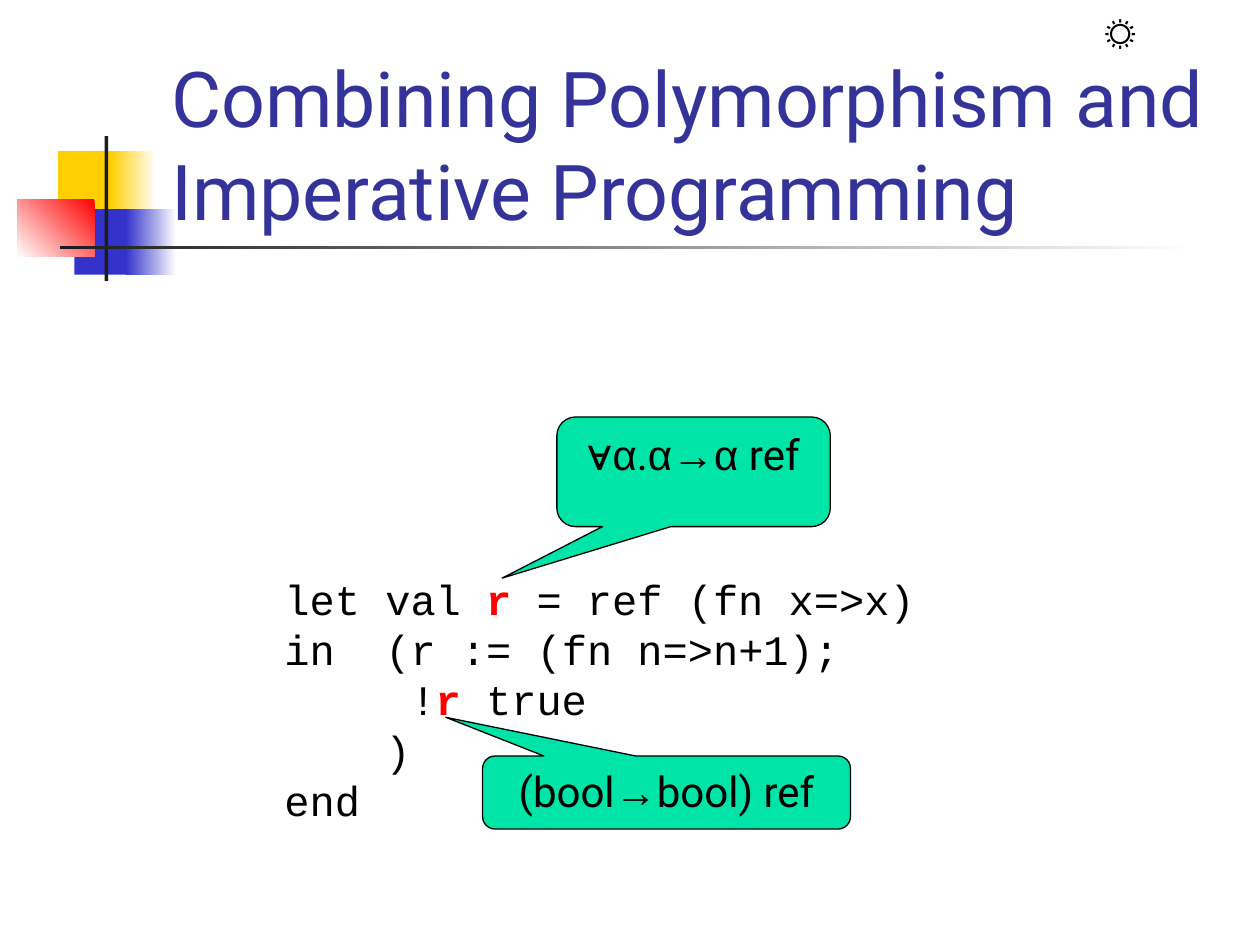
import pptx
import pptx.util
import pptx.dml.color
import pptx.enum.shapes
import pptx.enum.text

SHAPE = pptx.enum.shapes.MSO_SHAPE
ALIGN = pptx.enum.text.PP_ALIGN
ANCHOR = pptx.enum.text.MSO_ANCHOR
SIZING = pptx.enum.text.MSO_AUTO_SIZE
COLS, ROWS = 10, 7.5

deck = pptx.Presentation()
deck.slide_width = pptx.util.Inches(10)
deck.slide_height = pptx.util.Inches(7.5)
slide = deck.slides.add_slide(deck.slide_layouts[6])


def color(code):
    return pptx.dml.color.RGBColor.from_string(code)


def place(box, part=(0, 0, None, None)):
    """Turn a part of a box, in columns and rows, into slide lengths."""
    left, top, wide, high = part
    wide = box[2] if wide is None else wide
    high = box[3] if high is None else high
    col, row = deck.slide_width / COLS, deck.slide_height / ROWS
    return [round(n) for n in ((box[0] + left) * col, (box[1] + top) * row,
                               wide * col, high * row)]


def write(shape, lines, style, **frame):
    """Fill a shape with lines of (text, format changes) runs."""
    text = shape.text_frame
    for name, value in frame.items():
        setattr(text, name, value)
    for i, line in enumerate(lines):
        para = text.paragraphs[0] if i == 0 else text.add_paragraph()
        para.alignment = style.get("align", ALIGN.LEFT)
        for words, change in line:
            run = para.add_run()
            run.text = words
            look = {**style, **change}
            run.font.color.rgb = color(look["color"])
            values = {"size": pptx.util.Pt(look["size"]),
                      "name": look["name"], "bold": look.get("bold", False)}
            for name, value in values.items():
                setattr(run.font, name, value)


def block(box, part, first, last=None, angle=180):
    """Draw a plain bar, or one that fades from first to last."""
    bar = slide.shapes.add_shape(SHAPE.RECTANGLE, *place(box, part))
    bar.shadow.inherit = False
    bar.line.fill.background()
    if last is None:
        bar.fill.solid()
        bar.fill.fore_color.rgb = color(first)
        return
    bar.fill.gradient()
    bar.fill.gradient_angle = angle
    for stop, code in zip(bar.fill.gradient_stops, (first, last)):
        stop.color.rgb = color(code)


def motif(box):
    """Coloured squares crossed by a post and a fading rule."""
    white, gold, blue, dark = "FFFFFF", "FFCF01", "3333CC", "1C1C1C"
    block(box, (0.32, 0.12, 0.48, 0.52), gold)
    block(box, (0.74, 0.12, 0.36, 0.52), white, gold)
    block(box, (0.45, 0.58, 0.46, 0.52), blue)
    block(box, (0.86, 0.58, 0.4, 0.52), white, blue)
    block(box, (0, 0.5, 0.61, 0.46), "FF0000", white, 225)
    block(box, (0.69, 0, 0.03, 1.15), dark)
    block(box, (0.34, 0.87, 9, 0.03), white, dark)


def label(box, lines, style, **frame):
    area = slide.shapes.add_textbox(*place(box))
    write(area, lines, style, **{"word_wrap": True, **frame})


def bubble(box, tip, runs):
    """Callout whose tip is given as shares of its size from its centre."""
    shape = slide.shapes.add_shape(SHAPE.ROUNDED_RECTANGULAR_CALLOUT, *place(box))
    shape.shadow.inherit = False
    for i, value in enumerate((*tip, 0.17)):
        shape.adjustments[i] = value
    shape.fill.solid()
    shape.fill.fore_color.rgb = color("00E4A8")
    shape.line.color.rgb = color("000000")
    shape.line.width = pptx.util.Pt(0.75)
    style = {"size": 24, "name": "Roboto", "color": "000000", "align": ALIGN.CENTER}
    write(shape, [runs], style, vertical_anchor=ANCHOR.TOP, word_wrap=True)


# Frame and title
motif((0.14, 1.08, 9.34, 1.15))
label((8.67, 0, 1.33, 0.5), [[("☼", {})]],
      {"size": 24, "name": "Calibri", "color": "000000"})
label((1.26, 0.67, 8.52, 1.25),
      [[("Combining Polymorphism and Imperative Programming", {})]],
      {"size": 44, "name": "Roboto", "color": "333399"},
      vertical_anchor=ANCHOR.BOTTOM)

# Code
ref = ("r", {"color": "FF0000", "bold": True})
code = [
    [("let val ", {}), ref, (" = ref (fn x=>x)", {})],
    [("in  (r := (fn n=>n+1);", {})],
    [("     !", {}), ref, (" true", {})],
    [("    )", {})],
    [("end", {})],
]
label((2.16, 4.5, 5.2, 2.1), code,
      {"size": 24, "name": "Courier New", "color": "000000"},
      word_wrap=False, auto_size=SIZING.SHAPE_TO_FIT_TEXT)

# Types of the two uses of r
sign = {"name": "Arial"}
bubble((4.42, 3.31, 2.17, 0.87), (-0.7, 0.97),
       [("∀α", sign), (".", {}), ("α→α", sign), (" ref", {})])
bubble((3.83, 6, 2.92, 0.58), (-0.6, -1.03),
       [("(bool", {}), ("→", sign), ("bool) ref", {})])

deck.save("out.pptx")
